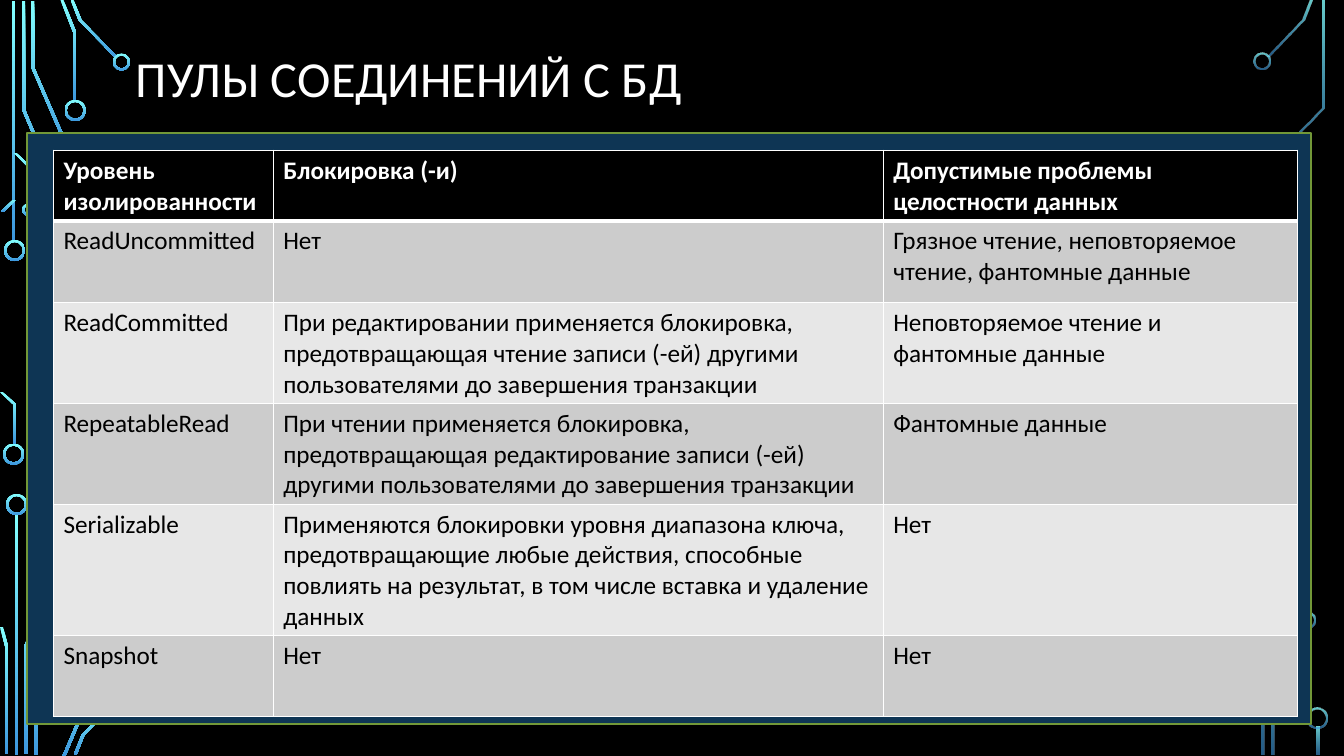
from lxml.etree import SubElement
from pptx import Presentation
from pptx.dml.color import RGBColor
from pptx.enum.shapes import MSO_SHAPE
from pptx.enum.text import MSO_ANCHOR
from pptx.oxml.ns import qn
from pptx.util import Pt

PX = 9144  # 100 px to the inch
TRACE_WIDTH = 3
LEFT_OPACITY, RIGHT_OPACITY = (100, 100), (80, 60)

LEFT_TRACES = [
    [(12, 1), (12, 240)],
    [(22, 1), (22, 109), (60, 199)],
    [(31, 1), (31, 67), (70, 157)],
    [(60, 0), (73, 33), (73, 100)],
    [(70, 0), (78, 20), (114, 57)],
    [(1, 210), (13, 198)],
    [(0, 389), (13, 401), (13, 441)],
    [(14, 152), (28, 166), (28, 203)],
    [(15, 510), (15, 749)],
    [(62, 551), (24, 641), (24, 748)],
    [(0, 622), (5, 641), (5, 748)],
    [(72, 593), (34, 682), (34, 749)],
    [(76, 650), (76, 717), (62, 750)],
    [(117, 693), (81, 729), (73, 749)],
]
LEFT_RINGS = [(4, 238, 21), (3, 440, 21), (64, 99, 21), (112, 53, 17),
              (22, 202, 12), (6, 490, 21)]
RIGHT_TRACES = [
    [(1299, 0), (1291, 20), (1256, 56)],
    [(1292, 623), (1261, 693), (1261, 749)],
    [(1311, 1), (1311, 107), (1281, 138), (1281, 169)],
    [(1282, 552), (1282, 583), (1251, 613), (1251, 749)],
    [(1306, 721), (1306, 749)],
]
RIGHT_RINGS = [(1243, 52, 17), (1288, 607, 17), (1296, 702, 21)]

COLUMN_WIDTHS = [218, 605, 411]
ROW_HEIGHTS = [67, 81, 96, 96, 125, 81]
ISOLATION_LEVELS = [
    ["Уровень изолированности", "Блокировка (-и)",
     "Допустимые проблемы целостности данных"],
    ["ReadUncommitted", "Нет",
     "Грязное чтение, неповторяемое чтение, фантомные данные"],
    ["ReadCommitted",
     "При редактировании применяется блокировка, предотвращающая чтение "
     "записи (-ей) другими пользователями до завершения транзакции",
     "Неповторяемое чтение и фантомные данные"],
    ["RepeatableRead",
     "При чтении применяется блокировка, предотвращающая редактирование "
     "записи (-ей) другими пользователями до завершения транзакции",
     "Фантомные данные"],
    ["Serializable",
     "Применяются блокировки уровня диапазона ключа, предотвращающие любые "
     "действия, способные повлиять на результат, в том числе вставка и "
     "удаление данных",
     "Нет"],
    ["Snapshot", "Нет", "Нет"],
]


def px(*lengths):
    return [length * PX for length in lengths]


def color(hex_string):
    return RGBColor.from_string(hex_string)


def write_text(frame, text, font="Calibri", size=18, fill="000000",
               bold=False, spacing=None):
    paragraph = frame.paragraphs[0]
    paragraph.line_spacing = spacing
    run = paragraph.add_run()
    run.text = text
    run.font.name = font
    run.font.size = Pt(size)
    run.font.bold = bold
    run.font.color.rgb = color(fill)


def add_border(cell, side, width, fill):
    """Draw one side (L, R, T or B) of a cell; call before filling it."""
    properties = cell._tc.get_or_add_tcPr()
    line = SubElement(properties, qn(f"a:ln{side}"), w=str(Pt(width)))
    solid = SubElement(line, qn("a:solidFill"))
    SubElement(solid, qn("a:srgbClr"), val=fill)


class CircuitSlide:
    background = "000000"
    white = "FFFFFF"
    glow = ("82FFFF", "3D97DE")
    panel_fill, panel_line = "0E3554", "729838"
    bands = ("E7E7E7", "CCCCCC")

    def __init__(self, presentation):
        self.slide = presentation.slides.add_slide(presentation.slide_layouts[6])
        self.shapes = self.slide.shapes
        fill = self.slide.background.fill
        fill.solid()
        fill.fore_color.rgb = color(self.background)

    def apply_glow(self, shape, opacity):
        shape.shadow.inherit = False
        shape.line.fill.background()
        shape.fill.gradient()
        shape.fill.gradient_angle = 270
        for stop, glow in zip(shape.fill.gradient_stops, self.glow):
            stop.color.rgb = color(glow)
        for element, percent in zip(shape._element.iter(qn("a:srgbClr")), opacity):
            if percent < 100:
                SubElement(element, qn("a:alpha"), val=str(percent * 1000))

    def trace(self, points, opacity):
        """Draw a band whose left edge runs through the points."""
        right_edge = [(x + TRACE_WIDTH, y) for x, y in reversed(points)]
        builder = self.shapes.build_freeform(*points[0], scale=PX)
        builder.add_line_segments(points[1:] + right_edge, close=True)
        self.apply_glow(builder.convert_to_shape(), opacity)

    def ring(self, left, top, diameter, opacity):
        shape = self.shapes.add_shape(
            MSO_SHAPE.DONUT, *px(left, top, diameter, diameter))
        shape.adjustments[0] = round(2 / diameter, 2)
        self.apply_glow(shape, opacity)

    def panel(self, *box):
        shape = self.shapes.add_shape(MSO_SHAPE.RECTANGLE, *px(*box))
        shape.shadow.inherit = False
        shape.fill.solid()
        shape.fill.fore_color.rgb = color(self.panel_fill)
        shape.line.color.rgb = color(self.panel_line)
        shape.line.width = Pt(1.25)

    def title(self, text, *box):
        frame = self.shapes.add_textbox(*px(*box)).text_frame
        frame.word_wrap = True
        frame.vertical_anchor = MSO_ANCHOR.MIDDLE
        write_text(frame, text, size=36, fill=self.white, spacing=0.9)

    def table(self, left, top, rows):
        box = px(left, top, sum(COLUMN_WIDTHS), sum(ROW_HEIGHTS))
        table = self.shapes.add_table(len(rows), len(COLUMN_WIDTHS), *box).table
        table.horz_banding = False
        for column, width in zip(table.columns, COLUMN_WIDTHS):
            column.width = width * PX
        for row, height in zip(table.rows, ROW_HEIGHTS):
            row.height = height * PX
        for row_index, texts in enumerate(rows):
            for column_index, text in enumerate(texts):
                self.cell(table.cell(row_index, column_index), text, row_index)

    def cell(self, cell, text, row_index):
        header = row_index == 0
        thick_side = {0: "B", 1: "T"}.get(row_index)
        for side in "LRTB":
            add_border(cell, side, 3 if side == thick_side else 1, self.white)
        cell.fill.solid()
        cell.fill.fore_color.rgb = color(
            self.background if header else self.bands[row_index % 2])
        write_text(cell.text_frame, text, bold=header,
                   fill=self.white if header else "000000")


def main():
    presentation = Presentation()
    presentation.slide_width, presentation.slide_height = px(1333, 750)
    slide = CircuitSlide(presentation)
    for traces, rings, opacity in [(LEFT_TRACES, LEFT_RINGS, LEFT_OPACITY),
                                   (RIGHT_TRACES, RIGHT_RINGS, RIGHT_OPACITY)]:
        for points in traces:
            slide.trace(points, opacity)
        for ring in rings:
            slide.ring(*ring, opacity)
    slide.panel(27, 132, 1273, 586)
    slide.title("ПУЛЫ СОЕДИНЕНИЙ С БД", 125, 0, 1175, 162)
    slide.table(53, 149, ISOLATION_LEVELS)
    presentation.save("out.pptx")


if __name__ == "__main__":
    main()
